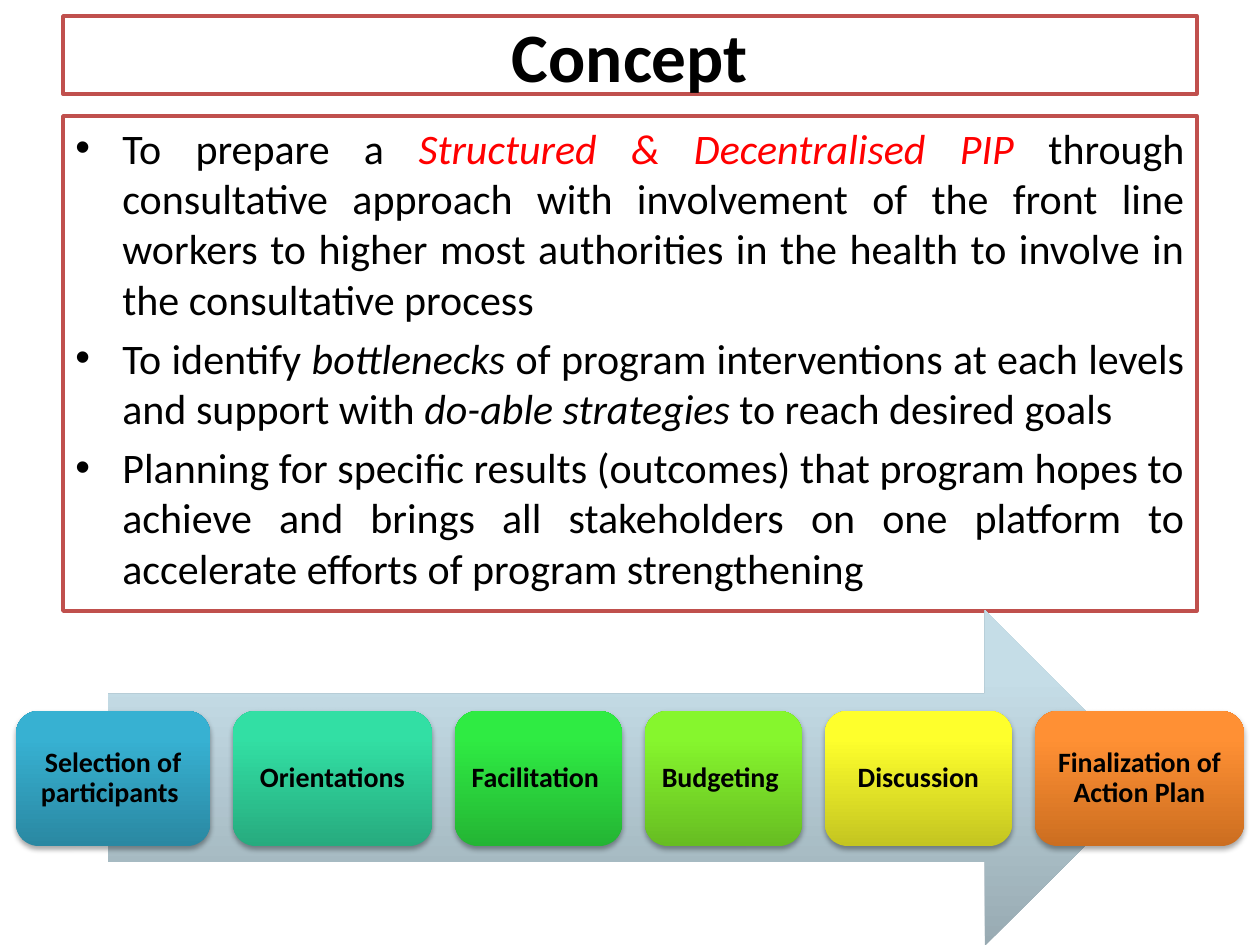
from typing import NamedTuple

from lxml import etree
from pptx import Presentation
from pptx import util as u
from pptx.dml.color import RGBColor
from pptx.enum import shapes, text
from pptx.oxml import ns

PX = 914400 / 126
FONT = "Calibri"
BLACK = RGBColor(0x00, 0x00, 0x00)
WHITE = RGBColor(0xFF, 0xFF, 0xFF)
RED = RGBColor(0xFF, 0x00, 0x00)
BRICK = RGBColor(0xC0, 0x50, 0x4D)
STEEL = RGBColor(0x98, 0xAA, 0xB2)
MIST = RGBColor(0xC5, 0xDD, 0xE7)

STEP_TOP, STEP_HIGH, STEP_GAP, STEP_LEFT = 711, 135, 23, 16


class Box(NamedTuple):
    left: int
    top: int
    width: int
    height: int


class Part(NamedTuple):
    words: str
    color: RGBColor = BLACK
    italic: bool = False


class Step(NamedTuple):
    label: str
    width: int
    dark: RGBColor
    light: RGBColor


TITLE = Box(63, 16, 1134, 78)
BODY = Box(63, 116, 1134, 495)
ARROW = Box(108, 610, 1045, 336)

POINTS = [
    [
        Part("To prepare a "),
        Part("Structured & Decentralised PIP ", RED, True),
        Part("through consultative approach with involvement of the front line "
             "workers to higher most authorities in the health to involve in "
             "the consultative process "),
    ],
    [
        Part("To identify "),
        Part("bottlenecks", italic=True),
        Part(" of program interventions at each levels and support with "),
        Part("do-able strategies ", italic=True),
        Part("to reach desired goals"),
    ],
    [
        Part("Planning for specific results (outcomes) that program hopes to "
             "achieve and brings all stakeholders on one platform to "
             "accelerate efforts of program strengthening "),
    ],
]

STEPS = [
    Step("Selection of participants ", 194,
         RGBColor(0x2A, 0x88, 0xA2), RGBColor(0x37, 0xB1, 0xD2)),
    Step("Orientations", 199,
         RGBColor(0x27, 0xAB, 0x7E), RGBColor(0x32, 0xDF, 0xA4)),
    Step("Facilitation ", 167,
         RGBColor(0x24, 0xB5, 0x34), RGBColor(0x2F, 0xEB, 0x43)),
    Step("Budgeting ", 157,
         RGBColor(0x67, 0xBD, 0x22), RGBColor(0x86, 0xF6, 0x2D)),
    Step("Discussion", 187,
         RGBColor(0xC4, 0xC5, 0x21), RGBColor(0xFE, 0xFF, 0x2C)),
    Step("Finalization of Action Plan", 209,
         RGBColor(0xCC, 0x6E, 0x20), RGBColor(0xFF, 0x90, 0x34)),
]


def px(n: int) -> int:
    return round(n * PX)


def style(run, size: float, color=BLACK, bold=False, italic=False) -> None:
    font = run.font
    font.name, font.size = FONT, u.Pt(size)
    font.bold, font.italic = bold, italic
    font.color.rgb = color


def frame(slide, box: Box):
    """Add a white text box with a brick outline and return its text frame."""
    shape = slide.shapes.add_textbox(*map(px, box))
    shape.fill.solid()
    shape.fill.fore_color.rgb = WHITE
    shape.line.color.rgb = BRICK
    shape.line.width = u.Pt(2)
    shape.text_frame.word_wrap = True
    return shape.text_frame


def block(slide, kind, box: Box, dark: RGBColor, light: RGBColor):
    """Add a shape shaded from dark at the foot to light near the top."""
    shape = slide.shapes.add_shape(kind, *map(px, box))
    shape.shadow.inherit = False
    shape.line.fill.background()
    shape.fill.gradient()
    shape.fill.gradient_angle = 90
    stops = shape.fill.gradient_stops
    for stop, color, place in zip(stops, (dark, light), (0, 0.8)):
        stop.color.rgb = color
        stop.position = place
    return shape


def shade(shape) -> None:
    """Cast a soft shadow straight down."""
    effects = shape._element.spPr.find(ns.qn("a:effectLst"))
    cast = etree.SubElement(effects, ns.qn("a:outerShdw"),
                            blurRad=str(u.Pt(3.1)), dist=str(u.Pt(1.8)),
                            dir="5400000", rotWithShape="0")
    color = etree.SubElement(cast, ns.qn("a:srgbClr"), val=str(BLACK))
    etree.SubElement(color, ns.qn("a:alpha"), val="35000")


def bullet(para) -> None:
    props = para._p.get_or_add_pPr()
    props.set("marL", str(px(47)))
    props.set("indent", str(-px(47)))
    etree.SubElement(props, ns.qn("a:buFont"), typeface="Arial")
    etree.SubElement(props, ns.qn("a:buChar"), char="•")


def draw_title(slide) -> None:
    tf = frame(slide, TITLE)
    tf.vertical_anchor = text.MSO_ANCHOR.MIDDLE
    tf.text = "Concept"
    para = tf.paragraphs[0]
    para.alignment = text.PP_ALIGN.CENTER
    style(para.runs[0], 39.6, bold=True)


def draw_points(slide) -> None:
    tf = frame(slide, BODY)
    for i, parts in enumerate(POINTS):
        para = tf.add_paragraph() if i else tf.paragraphs[0]
        para.alignment = text.PP_ALIGN.JUSTIFY
        para.space_before = u.Pt(4.8)
        bullet(para)
        for part in parts:
            run = para.add_run()
            run.text = part.words
            style(run, 24, part.color, italic=part.italic)


def draw_step(slide, step: Step, left: int) -> None:
    box = Box(left, STEP_TOP, step.width, STEP_HIGH)
    shape = block(slide, shapes.MSO_SHAPE.ROUNDED_RECTANGLE, box,
                  step.dark, step.light)
    shade(shape)
    tf = shape.text_frame
    tf.word_wrap = True
    tf.vertical_anchor = text.MSO_ANCHOR.MIDDLE
    # The rounded corners already inset the text by a few px.
    tf.margin_left = tf.margin_right = px(9)
    tf.margin_top = tf.margin_bottom = px(9)
    tf.text = step.label
    para = tf.paragraphs[0]
    para.alignment = text.PP_ALIGN.CENTER
    para.line_spacing = 0.9
    style(para.runs[0], 16, bold=True)


def main() -> None:
    deck = Presentation()
    deck.slide_width, deck.slide_height = px(1260), px(945)
    slide = deck.slides.add_slide(deck.slide_layouts[6])
    draw_title(slide)
    draw_points(slide)
    block(slide, shapes.MSO_SHAPE.RIGHT_ARROW, ARROW, STEEL, MIST)
    left = STEP_LEFT
    for step in STEPS:
        draw_step(slide, step, left)
        left += step.width + STEP_GAP
    deck.save("out.pptx")


if __name__ == "__main__":
    main()
